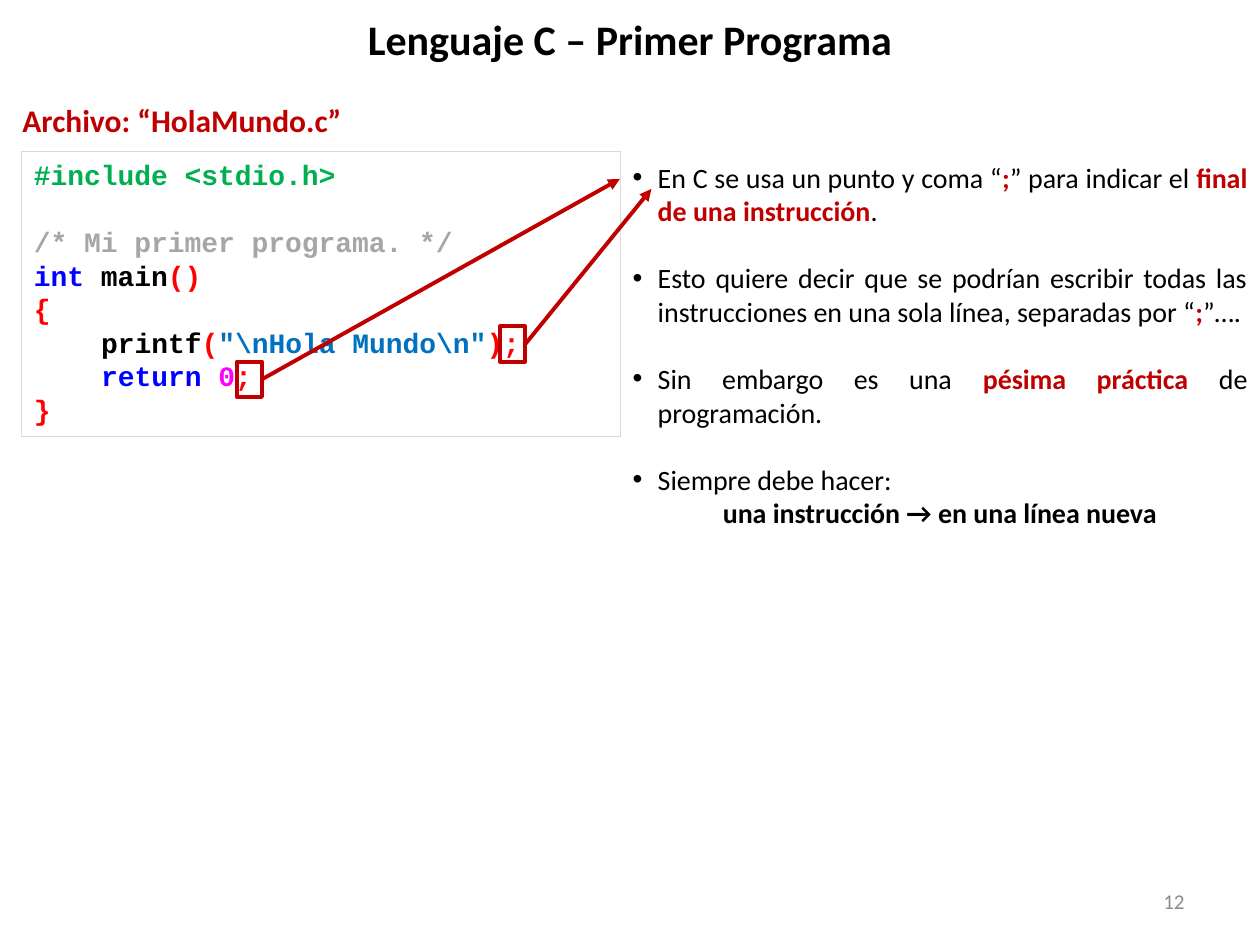
from pptx import Presentation
from pptx.dml.color import RGBColor as Rgb
from pptx.enum.shapes import MSO_CONNECTOR as Conn, MSO_SHAPE as Kind
from pptx.enum.text import MSO_ANCHOR as Anchor, MSO_AUTO_SIZE as Auto, PP_ALIGN as Align
from pptx.oxml.ns import qn
from pptx.util import Inches, Pt
from lxml.etree import SubElement as Sub

SANS, MONO = "Calibri", "Courier New"
BLACK, DARK, RED, BLUE = "000000", "C00000", "FF0000", "0000FF"
LINE = 19.2  # height of a 16 pt line, in points

# Each line of code: indent in characters, blank lines before, runs
CODE = [
    (0, 0, [("#include <stdio.h>", "00B050")]),
    (0, 1, [("/* Mi primer programa. */", "A6A6A6")]),
    (0, 0, [("int ", BLUE), ("main", BLACK), ("()", RED)]),
    (0, 0, [("{", RED)]),
    (4, 0, [("printf", BLACK), ("(", RED), ('"\\nHola Mundo\\n"', "0070C0"), (");", RED)]),
    (4, 0, [("return ", BLUE), ("0", "FF00FF"), (";", RED)]),
    (0, 0, [("}", RED)]),
]

# Each point: plain and stressed pieces by turns
POINTS = [
    ["En C se usa un punto y coma “", ";", "” para indicar el ",
     "final de una instrucción", "."],
    ["Esto quiere decir que se podrían escribir todas las instrucciones "
     "en una sola línea, separadas por “", ";", "”…."],
    ["Sin embargo es una ", "pésima práctica ", "de programación. "],
    ["Siempre debe hacer: "],
]
MOTTO = "una instrucción → en una línea nueva"


def color(code):
    return Rgb.from_string(code)


def place(shape, x, y, w, h):
    shape.left, shape.top, shape.width, shape.height = map(Inches, (x, y, w, h))


def style(run, size, code, bold=False, face=SANS):
    font = run.font
    font.name, font.size, font.bold = face, Pt(size), bold
    font.color.rgb = color(code)


def add_run(para, text, code, bold=False, face=SANS):
    run = para.add_run()
    run.text = text
    style(run, 16, code, bold, face)


def next_para(frame, num):
    return frame.add_paragraph() if num else frame.paragraphs[0]


def indent(para, left, first=0):
    props = para._p.get_or_add_pPr()
    props.set("marL", str(Inches(left)))
    props.set("indent", str(Inches(first)))
    return props


def label(shape, text, size, code, bold=False, align=Align.LEFT):
    para = shape.text_frame.paragraphs[0]
    para.text, para.alignment = text, align
    style(para.runs[0], size, code, bold)


def add_text(slide, x, y, w, h):
    return slide.shapes.add_textbox(*map(Inches, (x, y, w, h)))


def add_frame(slide, x, y, w, h, code, width):
    box = slide.shapes.add_shape(Kind.RECTANGLE, *map(Inches, (x, y, w, h)))
    box.shadow.inherit = False
    box.fill.background()
    box.line.color.rgb, box.line.width = color(code), Pt(width)
    return box


def add_code(slide):
    frame = add_frame(slide, 0.17, 1.2, 4.75, 2.26, "D9D9D9", 0.25).text_frame
    frame.word_wrap, frame.vertical_anchor = True, Anchor.TOP
    for num, (chars, gap, runs) in enumerate(CODE):
        para = next_para(frame, num)
        para.alignment = Align.LEFT
        para.line_spacing, para.space_before = Pt(LINE), Pt(gap * LINE)
        indent(para, chars * 9.6 / 72)  # one character is 9.6 pt wide
        for text, code in runs:
            add_run(para, text, code, True, MONO)


def add_points(body):
    place(body, 4.92, 1.22, 5.08, 3.06)
    frame = body.text_frame
    frame.auto_size, frame.vertical_anchor = Auto.NONE, Anchor.TOP
    for num, parts in enumerate(POINTS):
        para = next_para(frame, num)
        para.alignment = Align.JUSTIFY
        para.space_before = Pt(LINE if num else 0)
        indent(para, 0.2, -0.2)
        for pos, text in enumerate(parts):
            bold = pos % 2 == 1
            add_run(para, text, DARK if bold else BLACK, bold)
    # Closing line without a bullet
    para = frame.add_paragraph()
    para.alignment, para.space_before = Align.CENTER, Pt(0)
    Sub(indent(para, 0), qn("a:buNone"))
    add_run(para, MOTTO, BLACK, True)


def add_arrow(slide, box, x, y):
    start = box.left + box.width, box.top + box.height // 2
    arrow = slide.shapes.add_connector(Conn.STRAIGHT, *start, Inches(x), Inches(y))
    arrow.begin_connect(box, 3)
    arrow.line.color.rgb, arrow.line.width = color(DARK), Pt(2.25)
    Sub(arrow.line._get_or_add_ln(), qn("a:tailEnd"), type="triangle")
    Sub(arrow._element.spPr, qn("a:effectLst"))


def main():
    deck = Presentation()
    deck.slide_width, deck.slide_height = Inches(10), Inches(7.5)
    slide = deck.slides.add_slide(deck.slide_layouts[1])

    # Title and file name
    title = slide.shapes.title
    place(title, 0.5, 0, 9, 0.62)
    label(title, "Lenguaje C – Primer Programa", 24, BLACK, True, Align.CENTER)
    name = add_text(slide, 0.08, 0.75, 2.76, 0.4)
    label(name, "Archivo: “HolaMundo.c”", 18, DARK, True)

    # Program and remarks
    add_code(slide)
    add_points(slide.placeholders[1])

    # Semicolons marked in the code, with arrows to the first remark
    for x, y, end in [(3.97, 2.59, (5.17, 1.5)), (1.88, 2.87, (4.92, 1.42))]:
        mark = add_frame(slide, x, y, 0.2, 0.28, DARK, 2.25)
        add_arrow(slide, mark, *end)

    # Page number
    page = add_text(slide, 7.17, 6.95, 2.33, 0.4)
    page.text_frame.vertical_anchor = Anchor.MIDDLE
    page.text_frame.word_wrap = True
    label(page, "12", 12, "8C8C8C", align=Align.RIGHT)

    deck.save("out.pptx")


if __name__ == "__main__":
    main()
